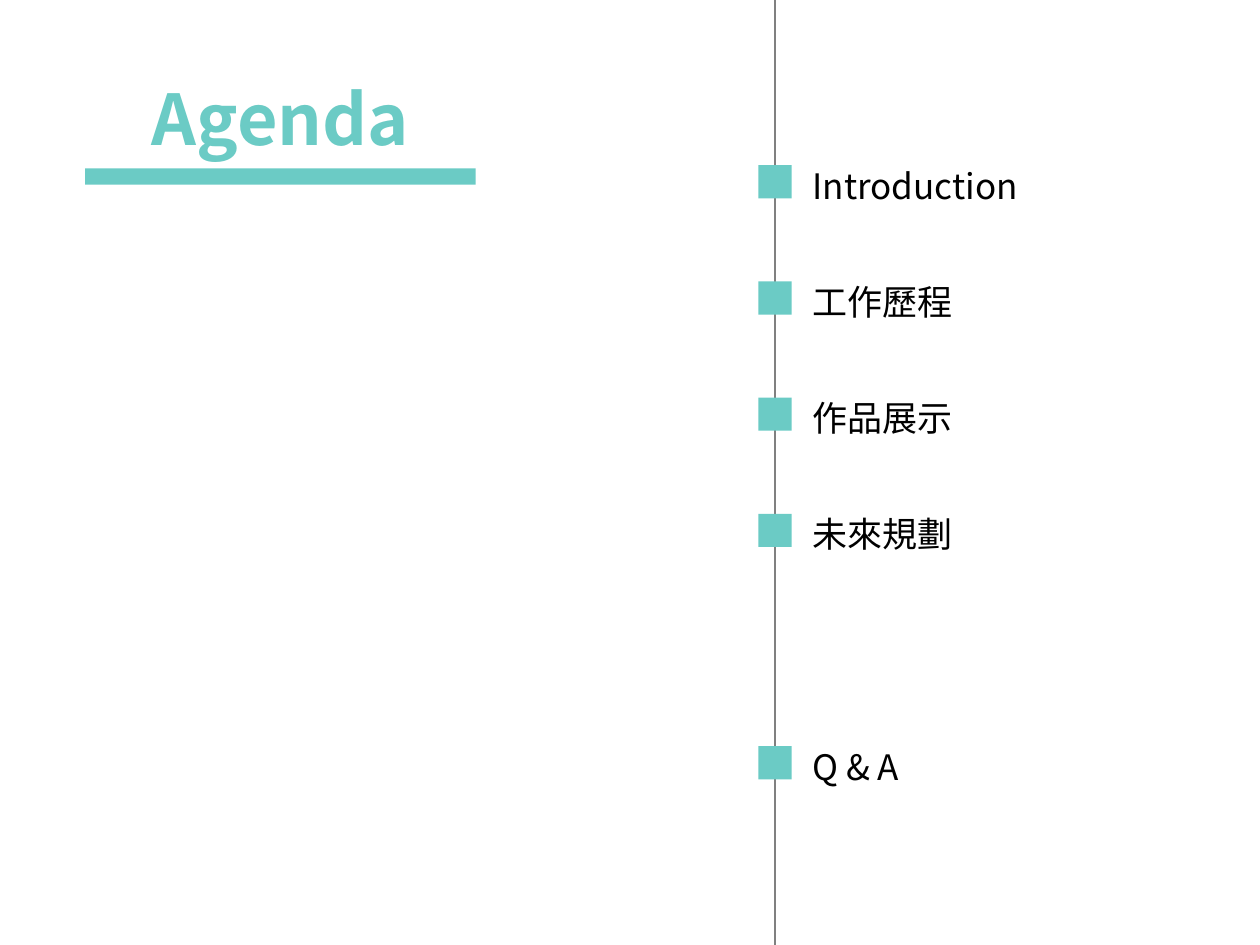
from pptx import Presentation
from pptx.dml.color import RGBColor
from pptx.enum.shapes import MSO_CONNECTOR, MSO_SHAPE
from pptx.enum.text import MSO_ANCHOR, MSO_AUTO_SIZE, PP_ALIGN
from pptx.oxml.ns import qn
from pptx.util import Pt
from lxml.etree import SubElement

TEAL = RGBColor(0x6B, 0xCB, 0xC5)
GREY = RGBColor(0x80, 0x80, 0x80)
BLACK = RGBColor(0, 0, 0)
NOTO = "Noto Sans CJK SC"

WIDE, HIGH = 720, 540
TITLE = dict(size=Pt(40), bold=True, name=NOTO)
LABEL = dict(size=Pt(20), bold=False, name=NOTO)
CHINESE = dict(LABEL, name="Arial")

# Step on the timeline, wording, format; step 4 stays free
ITEMS = [
    (0, "Introduction", LABEL),
    (1, "工作歷程", CHINESE),
    (2, "作品展示", CHINESE),
    (3, "未來規劃", CHINESE),
    (5, "Q & A", LABEL),
]


def write(shape, text, look, color, align):
    frame = shape.text_frame
    frame.word_wrap = True
    frame.auto_size = MSO_AUTO_SIZE.NONE
    frame.vertical_anchor = MSO_ANCHOR.MIDDLE
    para = frame.paragraphs[0]
    para.alignment = align
    run = para.add_run()
    run.text = text
    for key, value in look.items():
        setattr(run.font, key, value)
    run.font.color.rgb = color
    # East Asian typeface
    SubElement(run.font._element, qn("a:ea")).set("typeface", NOTO)


def block(slide, left, top, width, height):
    shape = slide.shapes.add_shape(
        MSO_SHAPE.RECTANGLE, Pt(left), Pt(top), Pt(width), Pt(height))
    shape.shadow.inherit = False
    shape.fill.solid()
    shape.fill.fore_color.rgb = TEAL
    shape.line.fill.background()


def heading(slide, left, top, width, height):
    # Title
    title = slide.shapes.title
    box = dict(left=left, top=top, width=width, height=height)
    for key, value in box.items():
        setattr(title, key, Pt(value))
    write(title, "Agenda", TITLE, TEAL, PP_ALIGN.CENTER)
    # Bar, centred below the title
    bar = 223.2
    block(slide, left + (width - bar) / 2, top + height + 1.2, bar, 9.4)


def timeline(slide, left, top, width, height):
    side, first, pitch, gap = 19, 94.4, 66.4, 14.3
    # Axis
    axis = slide.shapes.add_connector(
        MSO_CONNECTOR.STRAIGHT, Pt(left), Pt(top), Pt(left), Pt(top + height))
    axis.line.color.rgb = GREY
    axis.line.width = Pt(0.75)
    SubElement(axis._element.spPr, qn("a:effectLst"))
    # Markers and labels
    tall = 31.7
    for step, text, look in ITEMS:
        mid = top + first + step * pitch + side / 2
        block(slide, left - side / 2, mid - side / 2, side, side)
        label = slide.shapes.add_textbox(
            Pt(left + gap), Pt(mid + 2 - tall / 2), Pt(width - gap), Pt(tall))
        write(label, text, look, BLACK, PP_ALIGN.LEFT)


deck = Presentation()
deck.slide_width, deck.slide_height = Pt(WIDE), Pt(HIGH)
page = deck.slides.add_slide(deck.slide_layouts[5])
timeline(page, 442.9, 0, 198.6, HIGH)
heading(page, 25.2, 39.6, 270, 55.4)
deck.save("out.pptx")
